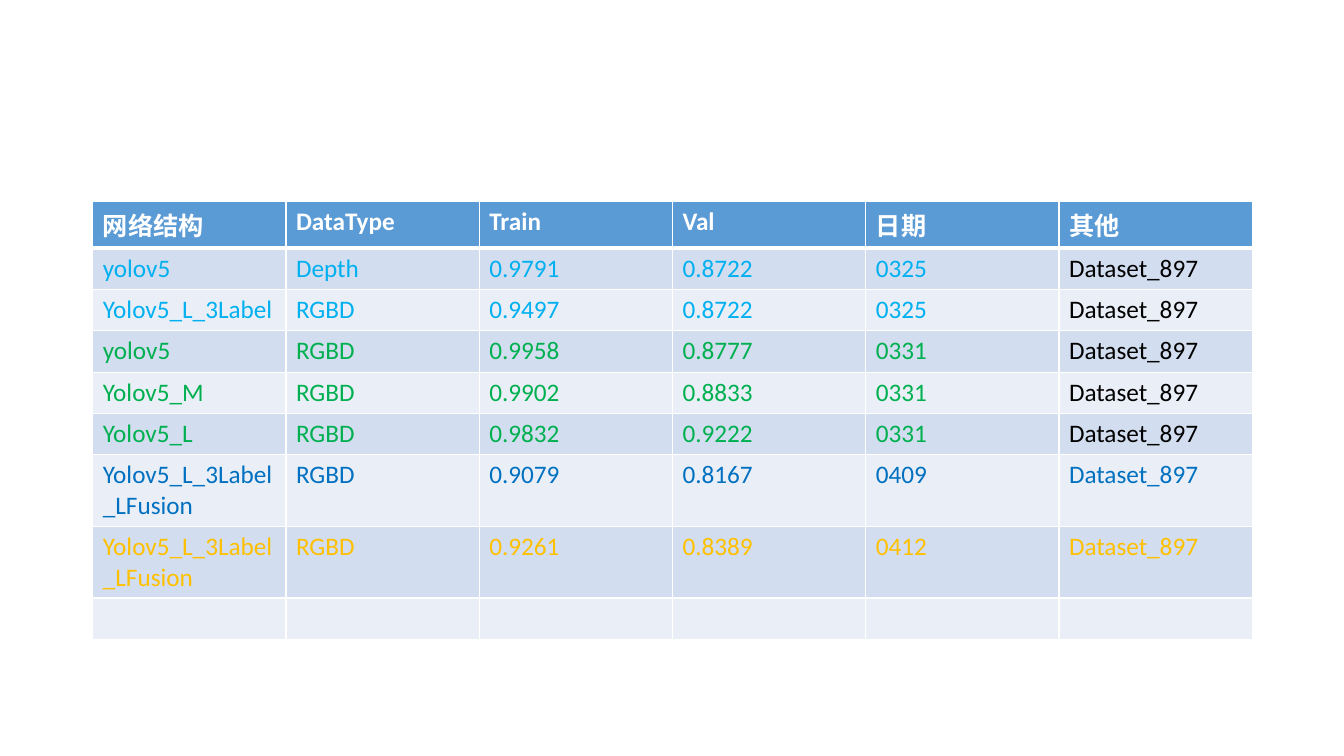
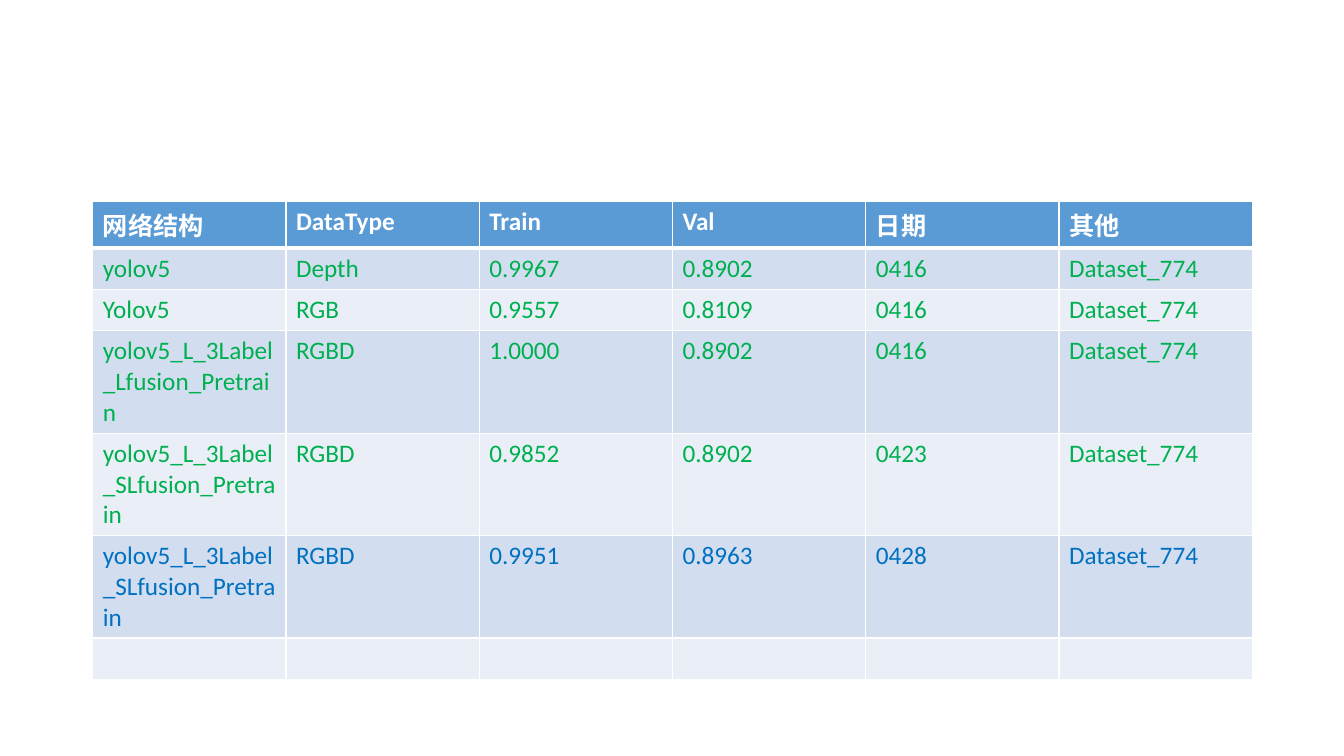
from lxml import etree
from pptx import Presentation
from pptx.dml.color import RGBColor
from pptx.oxml.ns import qn
from pptx.util import Inches, Pt

SKY, GREEN, BLUE, GOLD = "00B0F0", "00B050", "0070C0", "FFC000"
BLACK, WHITE = "000000", "FFFFFF"
HEADER_FILL, BAND_FILLS = "5B9BD5", ("D2DEEF", "EAEFF7")
FONT, FONT_SIZE = "Calibri", Pt(18)

HEADINGS = ("网络结构", "DataType", "Train", "Val", "日期", "其他")

# Each result: colour, colour of the dataset, network, data type, train, val, date
EXPERIMENTS = [
    ("Dataset_897", [
        (SKY, BLACK, "yolov5", "Depth", "0.9791", "0.8722", "0325"),
        (SKY, BLACK, "Yolov5_L_3Label", "RGBD", "0.9497", "0.8722", "0325"),
        (GREEN, BLACK, "yolov5", "RGBD", "0.9958", "0.8777", "0331"),
        (GREEN, BLACK, "Yolov5_M", "RGBD", "0.9902", "0.8833", "0331"),
        (GREEN, BLACK, "Yolov5_L", "RGBD", "0.9832", "0.9222", "0331"),
        (BLUE, BLUE, "Yolov5_L_3Label\n_LFusion", "RGBD", "0.9079", "0.8167", "0409"),
        (GOLD, GOLD, "Yolov5_L_3Label\n_LFusion", "RGBD", "0.9261", "0.8389", "0412"),
    ]),
    ("Dataset_774", [
        (GREEN, GREEN, "yolov5", "Depth", "0.9967", "0.8902", "0416"),
        (GREEN, GREEN, "Yolov5", "RGB", "0.9557", "0.8109", "0416"),
        (GREEN, GREEN, "yolov5_L_3Label\n_Lfusion_Pretrain", "RGBD", "1.0000", "0.8902", "0416"),
        (GREEN, GREEN, "yolov5_L_3Label\n_SLfusion_Pretrain", "RGBD", "0.9852", "0.8902", "0423"),
        (BLUE, BLUE, "yolov5_L_3Label\n_SLfusion_Pretrain", "RGBD", "0.9951", "0.8963", "0428"),
    ]),
]

TABLE_LEFT, TABLE_TOP, TABLE_WIDTH = Inches(0.92), Inches(2), Inches(11.5)
ROW_HEIGHT = Inches(0.41)


def rgb(colour):
    return RGBColor.from_string(colour)


def add_borders(cell, top, bottom):
    """Draw white cell edges: 1 pt at the sides, the given points above and below."""
    properties = cell._tc.get_or_add_tcPr()
    for edge, points in (("lnL", 1), ("lnR", 1), ("lnT", top), ("lnB", bottom)):
        line = etree.SubElement(properties, qn(f"a:{edge}"), w=str(Pt(points)))
        fill = etree.SubElement(line, qn("a:solidFill"))
        etree.SubElement(fill, qn("a:srgbClr"), val=WHITE)


def write_cell(cell, wording, colour, bold):
    frame = cell.text_frame
    for index, line in enumerate(wording.split("\n")):
        paragraph = frame.add_paragraph() if index else frame.paragraphs[0]
        run = paragraph.add_run()
        run.text = line
        run.font.name, run.font.size, run.font.bold = FONT, FONT_SIZE, bold
        run.font.color.rgb = rgb(colour)


def add_results_slide(prs, dataset, results):
    rows = [[(heading, WHITE) for heading in HEADINGS]]
    for colour, dataset_colour, *values in results:
        rows.append([(value, colour) for value in values] + [(dataset, dataset_colour)])
    rows.append([None] * len(HEADINGS))

    slide = prs.slides.add_slide(prs.slide_layouts[6])
    table = slide.shapes.add_table(len(rows), len(HEADINGS), TABLE_LEFT, TABLE_TOP,
                                   TABLE_WIDTH, ROW_HEIGHT * len(rows)).table
    for r, row in enumerate(rows):
        is_header = r == 0
        for c, entry in enumerate(row):
            cell = table.cell(r, c)
            add_borders(cell, top=3 if r == 1 else 1, bottom=3 if is_header else 1)
            cell.fill.solid()
            cell.fill.fore_color.rgb = rgb(HEADER_FILL if is_header else BAND_FILLS[(r - 1) % 2])
            if entry:
                write_cell(cell, *entry, bold=is_header)


def main():
    prs = Presentation()
    prs.slide_width, prs.slide_height = Inches(13.33), Inches(7.5)
    for dataset, results in EXPERIMENTS:
        add_results_slide(prs, dataset, results)
    prs.save("out.pptx")


if __name__ == "__main__":
    main()
